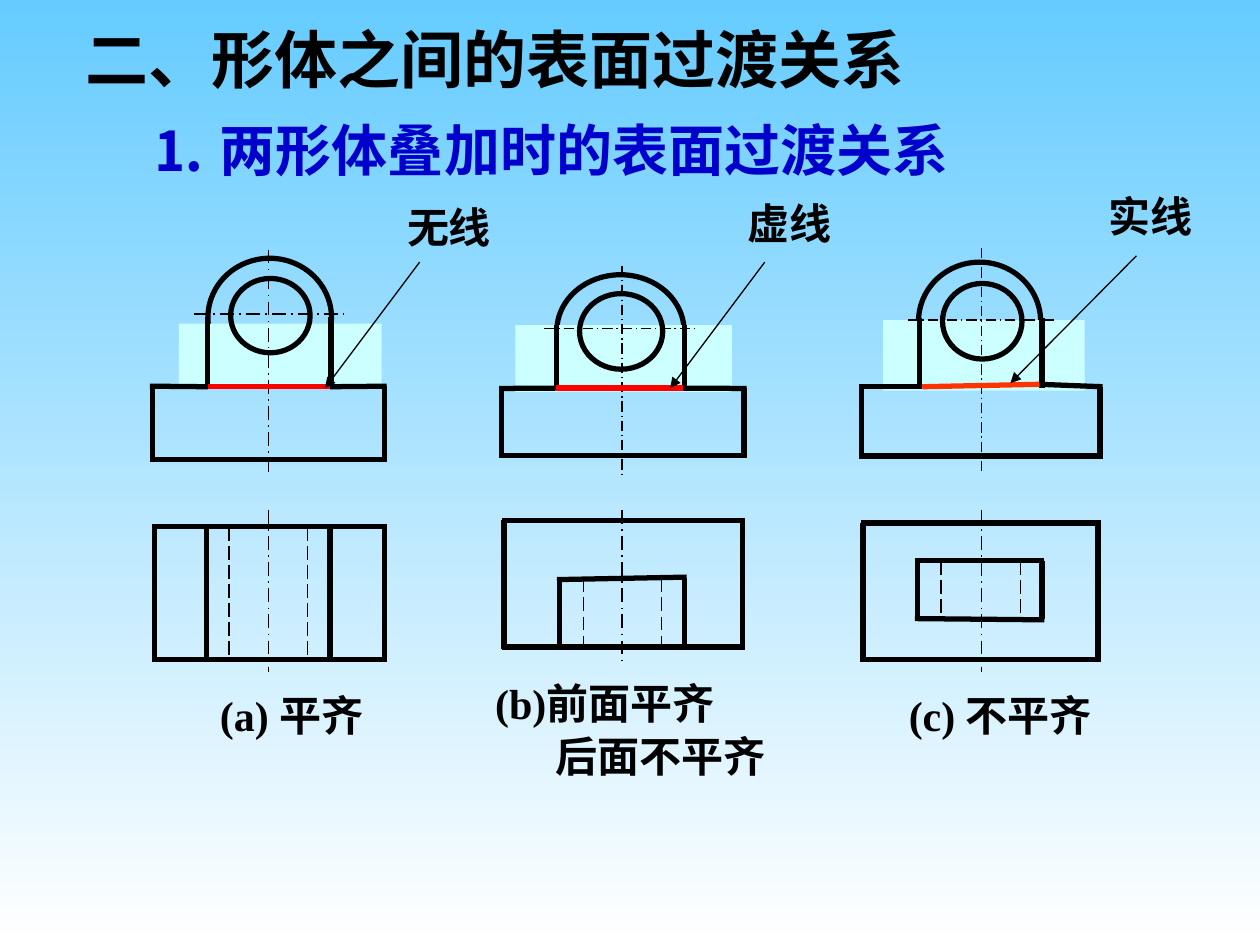
from lxml import etree
from pptx import Presentation
from pptx.dml.color import RGBColor
from pptx.enum.dml import MSO_LINE
from pptx.enum.shapes import MSO_CONNECTOR, MSO_SHAPE
from pptx.enum.text import MSO_ANCHOR, MSO_AUTO_SIZE, PP_ALIGN
from pptx.oxml.ns import qn
from pptx.util import Pt

STRAIGHT = MSO_CONNECTOR.STRAIGHT
OVAL, RECT = MSO_SHAPE.OVAL, MSO_SHAPE.RECTANGLE
DASH, CHAIN = MSO_LINE.LONG_DASH, MSO_LINE.LONG_DASH_DOT
TOP, MIDDLE = MSO_ANCHOR.TOP, MSO_ANCHOR.MIDDLE
LEFT, CENTER = PP_ALIGN.LEFT, PP_ALIGN.CENTER
GROW = MSO_AUTO_SIZE.SHAPE_TO_FIT_TEXT
SERIF, SANS = "Times New Roman", "Noto Sans CJK SC"
BLACK, BLUE, PALE = "000000", "0000CC", "CCFFFF"
THICK, LAP = 3, 1.4

PARTS = [
    {
        "outer": (118.8, 147.6, 70.6, 67.7), "inner": (131.8, 159.1, 45.4, 42.5),
        "pale": (102.2, 185, 115.9, 34.6), "posts": (118.4, 189.1, 181, 222),
        "base": (87.1, 219.6, 220.7, 262.4), "seam": (118.8, 221, 188.6, 221),
        "plan": (88.2, 219.6, 301, 377), "boss": (118.1, 188.6, 301, 377),
        "edges": [], "holes": (131, 175.7), "axis": 153.4,
        "spans": [(142.6, 271.4), (291.6, 383.8)], "cross": (110.9, 179.3, 196.6, 179.3),
        "thin": 1, "red": "FF0000", "arrow": (239.8, 149.8, 185.8, 221.8),
    },
    {
        "outer": (318.2, 157, 72.7, 64.1), "inner": (331.2, 167.8, 47.5, 43.2),
        "pale": (294.5, 185.8, 123.8, 38.2), "posts": (318.2, 391, 185.8, 222.8),
        "base": (286.6, 425.2, 222, 260.3), "seam": (317.5, 221.8, 390.2, 221.8),
        "plan": (288, 424.1, 297.4, 369.7), "boss": (319.7, 391, 330.5, 369.7),
        "edges": [(331.2, 329.8)], "holes": (333.4, 378), "axis": 355.5,
        "spans": [(152, 271.4), (291.6, 378)], "cross": (311, 187.9, 398.9, 187.9),
        "thin": 0.75, "red": "FF0000", "arrow": (437, 149.8, 383, 221.8),
    },
    {
        "outer": (524.9, 149.8, 69.8, 67.7), "inner": (538.6, 162, 45.4, 43.2),
        "pale": (504.7, 182.9, 115.2, 40.3), "posts": (525.6, 595.4, 182, 221.8),
        "base": (492.5, 628.6, 221, 260.6), "seam": (527, 221, 594, 219.6),
        "plan": (493.2, 627.5, 298.8, 376.9), "boss": (524.2, 595.4, 320.4, 353.8),
        "edges": [(320.4, 320.4), (353.5, 354.2)], "holes": (537.8, 583.2), "axis": 560.9,
        "spans": [(141.8, 270), (291.6, 383.8)], "cross": (519, 182.9, 603.4, 182.9),
        "thin": 0.75, "red": "FF3300", "arrow": (649.4, 146.2, 577.4, 218.9),
    },
]

NOTES = [
    ("无线", (225.5, 111.6, 68, 36), LEFT, TOP),
    ("虚线", (419.8, 109.4, 68, 36), LEFT, TOP),
    ("实线", (626.4, 105.1, 75.6, 36), LEFT, TOP),
    ("(a) 平齐", (101.5, 390.2, 130.3, 36), CENTER, MIDDLE),
    ("(b)前面平齐", (275.8, 383.8, 154, 36), LEFT, TOP),
    ("后面不平齐", (310.3, 414, 142.6, 36), LEFT, TOP),
    ("(c) 不平齐", (498.2, 390.2, 146.9, 36), CENTER, MIDDLE),
]


def paint(fill, color):
    """Make a fill solid in the given hex colour."""
    fill.solid()
    fill.fore_color.rgb = RGBColor.from_string(color)


def assign(target, values):
    """Set each named attribute on the target."""
    for name, value in values.items():
        setattr(target, name, value)


def place(shape, box):
    """Move and size a shape to a box in points."""
    assign(shape, dict(zip(("left", "top", "width", "height"), map(Pt, box))))


def line(slide, ends, width=THICK, color=BLACK, dash=None, head=False):
    """Draw a straight line between two points."""
    wire = slide.shapes.add_connector(STRAIGHT, *map(Pt, ends))
    paint(wire.line.fill, color)
    assign(wire.line, {"width": Pt(width), "dash_style": dash})
    props = wire.element.spPr
    if head:
        etree.SubElement(props.ln, qn("a:tailEnd"), type="triangle")
    etree.SubElement(props, qn("a:effectLst"))


def solid(slide, kind, box, color=None):
    """Draw a filled patch, or a thick outline when no colour is given."""
    shape = slide.shapes.add_shape(kind, *map(Pt, box))
    shape.shadow.inherit = False
    if color:
        paint(shape.fill, color)
        shape.line.fill.background()
    else:
        shape.fill.background()
        paint(shape.line.fill, BLACK)
        shape.line.width = Pt(THICK)


def pair(slide, xs, top, bottom, **style):
    """Draw upright lines of equal height."""
    for x in xs:
        line(slide, (x, top, x, bottom), **style)


def write(shape, text, size=24, font=SERIF, color=BLACK, align=LEFT, anchor=TOP):
    """Put one formatted line of bold text in a shape."""
    frame = shape.text_frame
    assign(frame, {"word_wrap": True, "auto_size": GROW, "vertical_anchor": anchor})
    para = frame.paragraphs[0]
    assign(para, {"alignment": align, "space_before": Pt(0)})
    run = para.add_run()
    run.text = text
    assign(run.font, {"size": Pt(size), "name": font, "bold": True})
    paint(run.font.fill, color)


def label(slide, text, box, align, anchor):
    """Add a text box with one line."""
    write(slide.shapes.add_textbox(*map(Pt, box)), text, align=align, anchor=anchor)


def front(slide, part):
    """Draw the front view: lug, base and seam."""
    solid(slide, OVAL, part["outer"])
    solid(slide, RECT, part["pale"], PALE)
    solid(slide, OVAL, part["inner"])
    left, right, top, bottom = part["base"]
    x1, y1, x2, y2 = part["seam"]
    pair(slide, (left, right), top, bottom + LAP)
    line(slide, (left - LAP, top, x1, y1))
    line(slide, (x2, y2, right + LAP, top))
    line(slide, (left - LAP, bottom, right + LAP, bottom))
    *posts, high, low = part["posts"]
    pair(slide, posts, high, low)
    line(slide, part["cross"], part["thin"], dash=CHAIN)


def plan(slide, part):
    """Draw the top view: base, boss and hidden hole."""
    left, right, top, bottom = part["plan"]
    pair(slide, (left, right), top, bottom + LAP)
    for y in (top, bottom):
        line(slide, (left - LAP, y, right + LAP, y))
    *sides, high, low = part["boss"]
    pair(slide, sides, high, low)
    pair(slide, part["holes"], high, low, width=1, dash=DASH)
    for start, end in part["edges"]:
        line(slide, (sides[0] - LAP, start, sides[1] + LAP, end))


def draw(slide, part):
    """Draw both views of a part with axes, seam and arrow."""
    front(slide, part)
    plan(slide, part)
    for span, width in zip(part["spans"], (part["thin"], 1)):
        pair(slide, [part["axis"]], *span, width=width, dash=CHAIN)
    line(slide, part["seam"], color=part["red"])
    line(slide, part["arrow"], 0.75, head=True)


def main():
    """Build the slide and save it."""
    deck = Presentation()
    assign(deck, {"slide_width": Pt(720), "slide_height": Pt(540)})
    slide = deck.slides.add_slide(deck.slide_layouts[1])
    back = slide.background.fill
    back.gradient()
    back.gradient_angle = 270
    for stop, color, spot in zip(back.gradient_stops, ("66CCFF", "FFFFFF"), (0, 1)):
        stop.color.rgb = RGBColor.from_string(color)
        stop.position = spot
    title, body = slide.placeholders
    place(title, (41.8, 7.9, 519.1, 50.4))
    write(title, "二、形体之间的表面过渡关系", 36, SANS)
    place(body, (79.2, 61.9, 517.7, 46.1))
    props = body.text_frame.paragraphs[0]._p.get_or_add_pPr()
    for name in ("marL", "indent"):
        props.set(name, "0")
    etree.SubElement(props, qn("a:buNone"))
    write(body, "⒈ 两形体叠加时的表面过渡关系", 32, color=BLUE, anchor=MIDDLE)
    for part in PARTS:
        draw(slide, part)
    for note in NOTES:
        label(slide, *note)
    deck.save("out.pptx")


if __name__ == "__main__":
    main()
